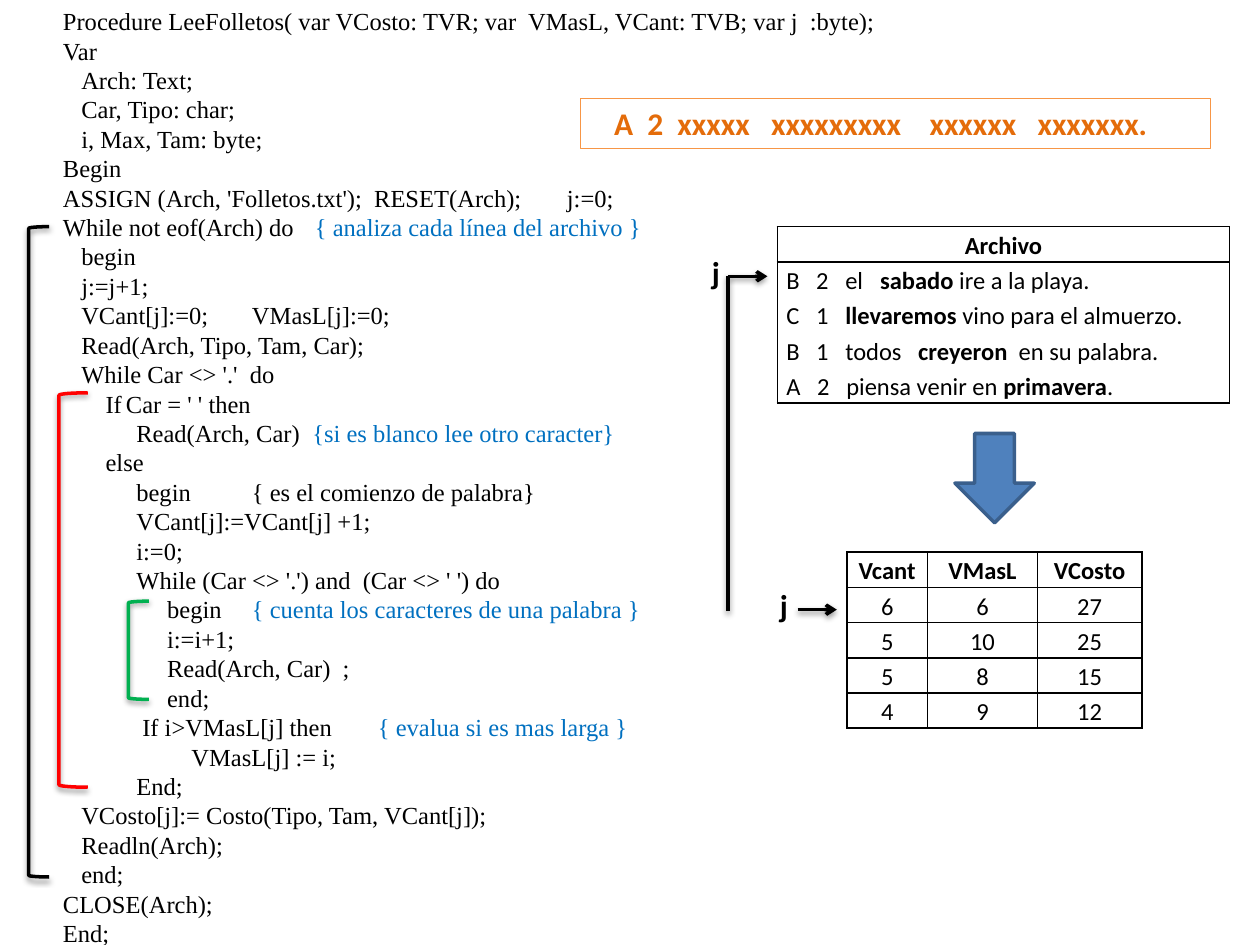
from dataclasses import dataclass
from typing import NamedTuple

from lxml.etree import SubElement
from pptx import Presentation
from pptx.dml.color import RGBColor
from pptx.enum.shapes import MSO_CONNECTOR as Link, MSO_SHAPE as Preset
from pptx.enum.text import MSO_ANCHOR as Anchor, PP_ALIGN as Align
from pptx.oxml.ns import qn
from pptx.util import Cm, Pt

BLACK, BLUE, ORANGE = "000000", "0070C0", "E46C0A"
CODE_FONT, LABEL_FONT = "Times New Roman", "Calibri"


class Span(NamedTuple):
    text: str
    bold: bool = False
    color: str = BLACK


@dataclass
class CodeLine:
    code: str
    indent: float = 0
    note: str = ""
    stop: float = 0


@dataclass
class Bracket:
    left: float
    top: float
    width: float
    height: float
    color: str


@dataclass
class Pointer:
    left: float
    top: float
    label_left: float
    label_top: float


@dataclass
class Sentence:
    spans: list[Span]
    stops: tuple[float, ...] = ()
    align: Align = Align.LEFT


BODY, BLOCK, BRANCH, INNER = 0.37, 0.86, 1.48, 2.1
PROCEDURE = [
    CodeLine("Procedure LeeFolletos( var VCosto: TVR; var  VMasL, VCant: TVB; var j  :byte);"),
    CodeLine("Var"),
    CodeLine("Arch: Text;", BODY),
    CodeLine("Car, Tipo: char;", BODY),
    CodeLine("i, Max, Tam: byte;", BODY),
    CodeLine("Begin"),
    CodeLine("ASSIGN (Arch, 'Folletos.txt');  RESET(Arch);\tj:=0;", stop=9.62),
    CodeLine("While not eof(Arch) do\t", 0, "{ analiza cada línea del archivo }", 5.42),
    CodeLine("begin", BODY),
    CodeLine("j:=j+1;", BODY),
    CodeLine("VCant[j]:=0;\tVMasL[j]:=0;", BODY, stop=3.65),
    CodeLine("Read(Arch, Tipo, Tam, Car);", BODY),
    CodeLine("While Car <> '.'  do", BODY),
    CodeLine("If\tCar = ' ' then", BLOCK, stop=1.55),
    CodeLine("Read(Arch, Car)  ", BRANCH, "{si es blanco lee otro caracter}"),
    CodeLine("else", BLOCK),
    CodeLine("begin\t{ es el comienzo de palabra}", BRANCH, stop=3.2),
    CodeLine("VCant[j]:=VCant[j] +1;", BRANCH),
    CodeLine("i:=0;", BRANCH),
    CodeLine("While (Car <> '.') and  (Car <> ' ') do", BRANCH),
    CodeLine("begin\t", INNER, "{ cuenta los caracteres de una palabra }", 3.57),
    CodeLine("i:=i+1;", INNER),
    CodeLine("Read(Arch, Car)  ;", INNER),
    CodeLine("end;", INNER),
    CodeLine("If i>VMasL[j] then\t", 1.6, "{ evalua si es mas larga }", 6.67),
    CodeLine("VMasL[j] := i;", 2.59),
    CodeLine("End;", BRANCH),
    CodeLine("VCosto[j]:= Costo(Tipo, Tam, VCant[j]);", BODY),
    CodeLine("Readln(Arch);", BODY),
    CodeLine("end;", BODY),
    CodeLine("CLOSE(Arch);"),
    CodeLine("End;"),
]
ARCHIVE = [
    Sentence([Span("Archivo", True)], align=Align.CENTER),
    Sentence([Span("B\t2\tel\t"), Span("sabado ", True), Span("ire a la playa.")],
             (0.6, 1.19, 1.89)),
    Sentence([Span("C\t1\t"), Span("llevaremos", True), Span(" vino para el almuerzo.")],
             (0.6, 1.19)),
    Sentence([Span("B\t1\ttodos\t"), Span("creyeron", True), Span("  en su palabra.")],
             (0.6, 1.19, 2.66)),
    Sentence([Span("A\t2\tpiensa venir en "), Span("primavera", True), Span(".")],
             (0.62, 1.21)),
]
VECTORS = [("Vcant", "VMasL", "VCosto"), (6, 6, 27), (5, 10, 25), (5, 8, 15), (4, 9, 12)]
BRACKETS = [
    Bracket(0.58, 4.57, 0.41, 13.11, BLACK),
    Bracket(1.19, 7.92, 0.58, 7.95, "FF0000"),
    Bracket(2.59, 12.12, 0.41, 1.98, "00B050"),
]
POINTERS = [Pointer(16.08, 12.29, 15.47, 11.68), Pointer(14.68, 5.57, 14.1, 4.98)]


def rgb(color: str) -> RGBColor:
    return RGBColor.from_string(color)


def add_span(paragraph, span: Span, size: float, font: str) -> None:
    run = paragraph.add_run()
    run.text = span.text
    run.font.size, run.font.name, run.font.bold = Pt(size), font, span.bold
    run.font.color.rgb = rgb(span.color)


def set_stops(paragraph, stops: tuple[float, ...]) -> None:
    tabs = SubElement(paragraph._p.get_or_add_pPr(), qn("a:tabLst"))
    for stop in stops:
        SubElement(tabs, qn("a:tab"), pos=str(Cm(stop)), algn="l")


def cast_shadow(figure) -> None:
    effects = SubElement(figure._element.spPr, qn("a:effectLst"))
    shadow = SubElement(effects, qn("a:outerShdw"), blurRad="40000", dist="20000",
                        dir="5400000", rotWithShape="0")
    tint = SubElement(shadow, qn("a:srgbClr"), val=BLACK)
    SubElement(tint, qn("a:alpha"), val="38000")


def set_borders(cell, sides: str) -> None:
    properties = cell._tc.get_or_add_tcPr()
    for side in "LRTB":
        border = SubElement(properties, qn(f"a:ln{side}"), w=str(Pt(1)))
        if side in sides:
            SubElement(SubElement(border, qn("a:solidFill")), qn("a:srgbClr"), val=BLACK)
        else:
            SubElement(border, qn("a:noFill"))
    cell.fill.background()


def fill_cell(cell, sentence: Sentence, sides: str) -> None:
    cell.margin_left = cell.margin_right = Cm(0.18)
    cell.margin_top = cell.margin_bottom = 0
    paragraph = cell.text_frame.paragraphs[0]
    paragraph.alignment, paragraph.line_spacing = sentence.align, 1.15
    if sentence.stops:
        set_stops(paragraph, sentence.stops)
    for span in sentence.spans:
        add_span(paragraph, span, 14, LABEL_FONT)
    set_borders(cell, sides)


def new_table(slide, left: float, top: float, widths: list[float], rows: int):
    height = 0.71
    table = slide.shapes.add_table(rows, len(widths), Cm(left), Cm(top),
                                   Cm(sum(widths)), Cm(height * rows)).table
    table.first_row = table.horz_banding = False
    for column, width in zip(table.columns, widths):
        column.width = Cm(width)
    for row in table.rows:
        row.height = Cm(height)
    return table


def draw_procedure(slide) -> None:
    frame = slide.shapes.add_textbox(Cm(1.02), 0, Cm(17.25), Cm(19.41)).text_frame
    frame.word_wrap = True
    for number, line in enumerate(PROCEDURE):
        paragraph = frame.add_paragraph() if number else frame.paragraphs[0]
        paragraph._p.get_or_add_pPr().set("indent", str(Cm(line.indent)))
        if line.stop:
            set_stops(paragraph, (line.stop,))
        add_span(paragraph, Span(line.code), 14, CODE_FONT)
        if line.note:
            add_span(paragraph, Span(line.note, color=BLUE), 14, CODE_FONT)


def draw_shape(slide, preset: Preset, left: float, top: float, width: float,
               height: float, outline: str, weight: float):
    figure = slide.shapes.add_shape(preset, Cm(left), Cm(top), Cm(width), Cm(height))
    figure.fill.background()
    figure.line.color.rgb, figure.line.width = rgb(outline), Pt(weight)
    return figure


def draw_line(slide, x1: float, y1: float, x2: float, y2: float, arrow: bool) -> None:
    line = slide.shapes.add_connector(Link.STRAIGHT, Cm(x1), Cm(y1), Cm(x2), Cm(y2))
    line.line.color.rgb, line.line.width = rgb(BLACK), Pt(2)
    if arrow:
        SubElement(line.line._get_or_add_ln(), qn("a:tailEnd"), type="arrow")
    cast_shadow(line)


def draw_pointer(slide, pointer: Pointer) -> None:
    draw_line(slide, pointer.left, pointer.top, pointer.left + 0.79, pointer.top, True)
    label = slide.shapes.add_textbox(Cm(pointer.label_left), Cm(pointer.label_top),
                                     Cm(1.19), Cm(1.02)).text_frame
    label.word_wrap = True
    add_span(label.paragraphs[0], Span("j", True), 18, LABEL_FONT)


def draw_sample(slide) -> None:
    sample = draw_shape(slide, Preset.RECTANGLE, 11.71, 1.98, 12.7, 1.02, "F79646", 0.75)
    sample.shadow.inherit = False
    frame = sample.text_frame
    frame.margin_left, frame.vertical_anchor = Cm(0.67), Anchor.TOP
    frame.paragraphs[0].alignment = Align.LEFT
    words = Span("A  2  xxxxx   xxxxxxxxx    xxxxxx   xxxxxxx.", True, ORANGE)
    add_span(frame.paragraphs[0], words, 18, LABEL_FONT)


def main() -> None:
    deck = Presentation()
    deck.slide_width, deck.slide_height = Cm(25.4), Cm(19.05)
    slide = deck.slides.add_slide(deck.slide_layouts[6])
    draw_procedure(slide)

    archive = new_table(slide, 15.67, 4.57, [9.12], len(ARCHIVE))
    for row, sentence in enumerate(ARCHIVE):
        sides = {0: "LRTB", 1: "LRT", len(ARCHIVE) - 1: "LRB"}.get(row, "LR")
        fill_cell(archive.cell(row, 0), sentence, sides)

    vectors = new_table(slide, 17.07, 11.13, [1.63, 2.21, 2.11], len(VECTORS))
    for row, values in enumerate(VECTORS):
        for column, value in enumerate(values):
            entry = Sentence([Span(str(value), row == 0)], align=Align.CENTER)
            fill_cell(vectors.cell(row, column), entry, "LRTB")

    result = draw_shape(slide, Preset.DOWN_ARROW, 19.25, 8.74, 1.6, 1.8, "3A5F8C", 2)
    result.shadow.inherit = False
    result.fill.solid()
    result.fill.fore_color.rgb = rgb("4F81BD")
    for loop in BRACKETS:
        cast_shadow(draw_shape(slide, Preset.LEFT_BRACKET, loop.left, loop.top,
                               loop.width, loop.height, loop.color, 2))
    for pointer in POINTERS:
        draw_pointer(slide, pointer)
    draw_line(slide, 14.68, 12.32, 14.68, 5.57, False)
    draw_sample(slide)
    deck.save("out.pptx")


if __name__ == "__main__":
    main()
